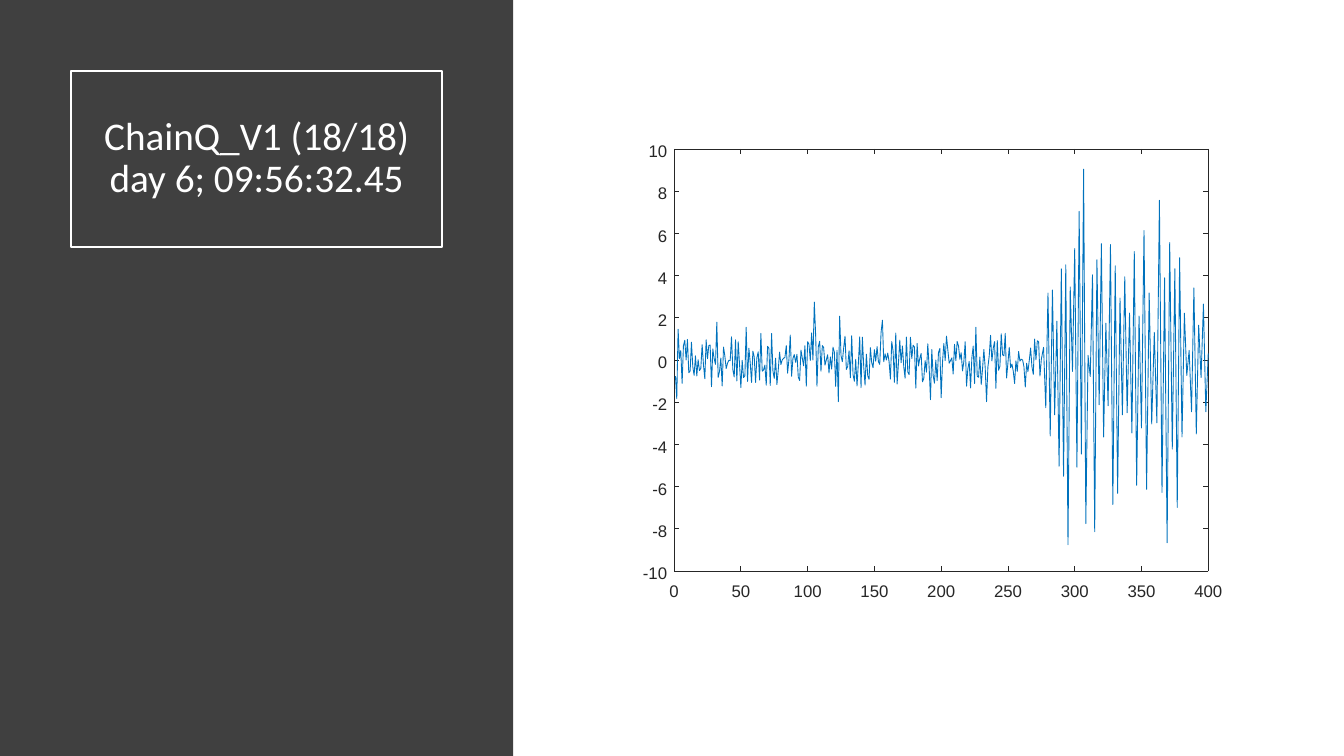
from math import sin
from pptx import Presentation
from pptx.dml.color import RGBColor
from pptx.enum.shapes import MSO_CONNECTOR as CONN, MSO_SHAPE as SHAPE
from pptx.enum.text import MSO_ANCHOR as ANCHOR, PP_ALIGN as ALIGN
from pptx.oxml.ns import qn
from pptx.util import Emu, Inches, Pt
from lxml import etree

WHITE = RGBColor(0xFF, 0xFF, 0xFF)
PANEL_GREY = RGBColor(0x40, 0x40, 0x40)
AXIS_GREY = RGBColor(0x26, 0x26, 0x26)
TRACE_BLUE = RGBColor(0x00, 0x72, 0xBD)

TITLE = "ChainQ_V1 (18/18)\vday 6; 09:56:32.45"
X_TICKS = range(0, 401, 50)
Y_TICKS = range(-10, 11, 2)

# Signal in raw counts; the lowest count is the top of the y axis.
COUNT_TOP, COUNT_BOTTOM, COUNT_ZERO = 148, 567, 358
QUIET_END = 275
QUIET_SWING = 14
# Sample number and count of the spikes that rise out of the quiet noise.
QUIET_SPIKES = {2: 396, 3: 327, 32: 320, 54: 325, 105: 300, 123: 399,
                124: 314, 156: 318, 192: 397, 200: 395, 226: 325, 234: 399}
# Turning points of the burst; each row spreads evenly over its samples.
BURST_ROW_SAMPLES = 25
BURST_ROWS = [
    (345, 405, 291, 433, 288, 412, 319, 463, 267, 473, 263, 541, 285, 369, 247),
    (464, 210, 451, 168, 520, 353, 374, 273, 528, 258, 402, 242, 434, 321, 403),
    (243, 501, 264, 490, 296, 412, 275, 410, 311, 430, 250, 482, 314, 425),
    (229, 486, 291, 421, 330, 420, 199, 489, 276, 539, 241, 446, 267),
    (504, 256, 434, 311, 373, 348, 409, 286, 431, 323, 375, 302, 409, 351),
]

EMU_PER_PX = 914400 / 100.8
PANEL = (0, 0, 513, 756)
TITLE_BOX = (71, 71, 371, 176)
PLOT = (674, 149, 534, 422)
LEFT, TOP, WIDTH, HEIGHT = PLOT
RIGHT, BOTTOM = LEFT + WIDTH, TOP + HEIGHT
TICK = 5
LABEL_W, LABEL_H = 36, 22
HAIRLINE = Pt(0.63)
TITLE_FONT = {"name": "Calibri", "size": Pt(28)}
LABEL_FONT = {"name": "Arial", "size": Pt(12)}


def px(value):
    """Turn pixels into EMU."""
    return Emu(round(value * EMU_PER_PX))


def x_at(value):
    """Horizontal place of an x axis value."""
    return LEFT + WIDTH * value / X_TICKS[-1]


def y_at(value):
    """Vertical place of a y axis value."""
    return BOTTOM - HEIGHT * (value - Y_TICKS[0]) / (Y_TICKS[-1] - Y_TICKS[0])


def add_box(shapes, box, fill=None, line=None):
    """Add a rectangle with an optional fill and outline."""
    sp = shapes.add_shape(SHAPE.RECTANGLE, *map(px, box))
    sp.shadow.inherit = False
    if fill is None:
        sp.fill.background()
    else:
        sp.fill.solid()
        sp.fill.fore_color.rgb = fill
    if line is None:
        sp.line.fill.background()
    else:
        sp.line.color.rgb = line
        sp.line.width = Pt(1.5)
    return sp


def write(tf, text, font, color, align):
    """Put one formatted paragraph into a text frame."""
    tf.word_wrap = True
    p = tf.paragraphs[0]
    p.text = text
    p.alignment = align
    for r in p.runs:
        r.font.color.rgb = color
        for name, value in font.items():
            setattr(r.font, name, value)
    return p


def add_axis_line(shapes, x1, y1, x2, y2):
    """Add one thin axis or tick line."""
    sp = shapes.add_connector(CONN.STRAIGHT, *map(px, (x1, y1, x2, y2)))
    sp.line.color.rgb = AXIS_GREY
    sp.line.width = HAIRLINE
    etree.SubElement(sp._element.spPr, qn("a:effectLst"))


def add_label(shapes, value, left, top, align):
    """Add the number beside a tick."""
    sp = shapes.add_textbox(*map(px, (left, top, LABEL_W, LABEL_H)))
    tf = sp.text_frame
    for side in ("left", "top", "right", "bottom"):
        setattr(tf, f"margin_{side}", 0)
    write(tf, str(value), LABEL_FONT, AXIS_GREY, align)


def add_axes(shapes):
    """Draw the frame, the ticks on all four sides and the labels."""
    for y, inward in ((BOTTOM, -TICK), (TOP, TICK)):
        add_axis_line(shapes, LEFT, y, RIGHT, y)
        for value in X_TICKS:
            add_axis_line(shapes, x_at(value), y, x_at(value), y + inward)
    for x, inward in ((LEFT, TICK), (RIGHT, -TICK)):
        add_axis_line(shapes, x, BOTTOM, x, TOP)
        for value in Y_TICKS:
            add_axis_line(shapes, x, y_at(value), x + inward, y_at(value))
    for value in X_TICKS:
        add_label(shapes, value, x_at(value) - LABEL_W / 2, BOTTOM + 10, ALIGN.CENTER)
    for value in Y_TICKS:
        add_label(shapes, value, LEFT - 7 - LABEL_W, y_at(value) - 8, ALIGN.RIGHT)


def signal():
    """List (sample, count) pairs: quiet noise with spikes, then the burst."""
    pairs = []
    for n in range(1, QUIET_END + 1):
        noise = QUIET_SWING * (sin(2.3 * n) + sin(0.37 * n * n))
        pairs.append((n, QUIET_SPIKES.get(n, COUNT_ZERO + noise)))
    for row, counts in enumerate(BURST_ROWS):
        start = QUIET_END + row * BURST_ROW_SAMPLES
        step = BURST_ROW_SAMPLES / len(counts)
        pairs += [(start + i * step, count) for i, count in enumerate(counts, 1)]
    return pairs


def add_trace(shapes):
    """Draw the signal as one open outline."""
    per_count = HEIGHT / (COUNT_BOTTOM - COUNT_TOP)
    points = [(px(x_at(n)), px(TOP + (count - COUNT_TOP) * per_count))
              for n, count in signal()]
    builder = shapes.build_freeform(*points[0])
    builder.add_line_segments(points[1:], close=False)
    sp = builder.convert_to_shape()
    sp.shadow.inherit = False
    sp.fill.background()
    sp.line.color.rgb = TRACE_BLUE
    sp.line.width = HAIRLINE


prs = Presentation()
prs.slide_width, prs.slide_height = Inches(13.33), Inches(7.5)
shapes = prs.slides.add_slide(prs.slide_layouts[6]).shapes

add_box(shapes, PANEL, fill=PANEL_GREY)
title = add_box(shapes, TITLE_BOX, line=WHITE).text_frame
title.vertical_anchor = ANCHOR.MIDDLE
write(title, TITLE, TITLE_FONT, WHITE, ALIGN.CENTER).line_spacing = 0.9

add_box(shapes, PLOT, fill=WHITE)
add_axes(shapes)
add_trace(shapes)

prs.save("out.pptx")
